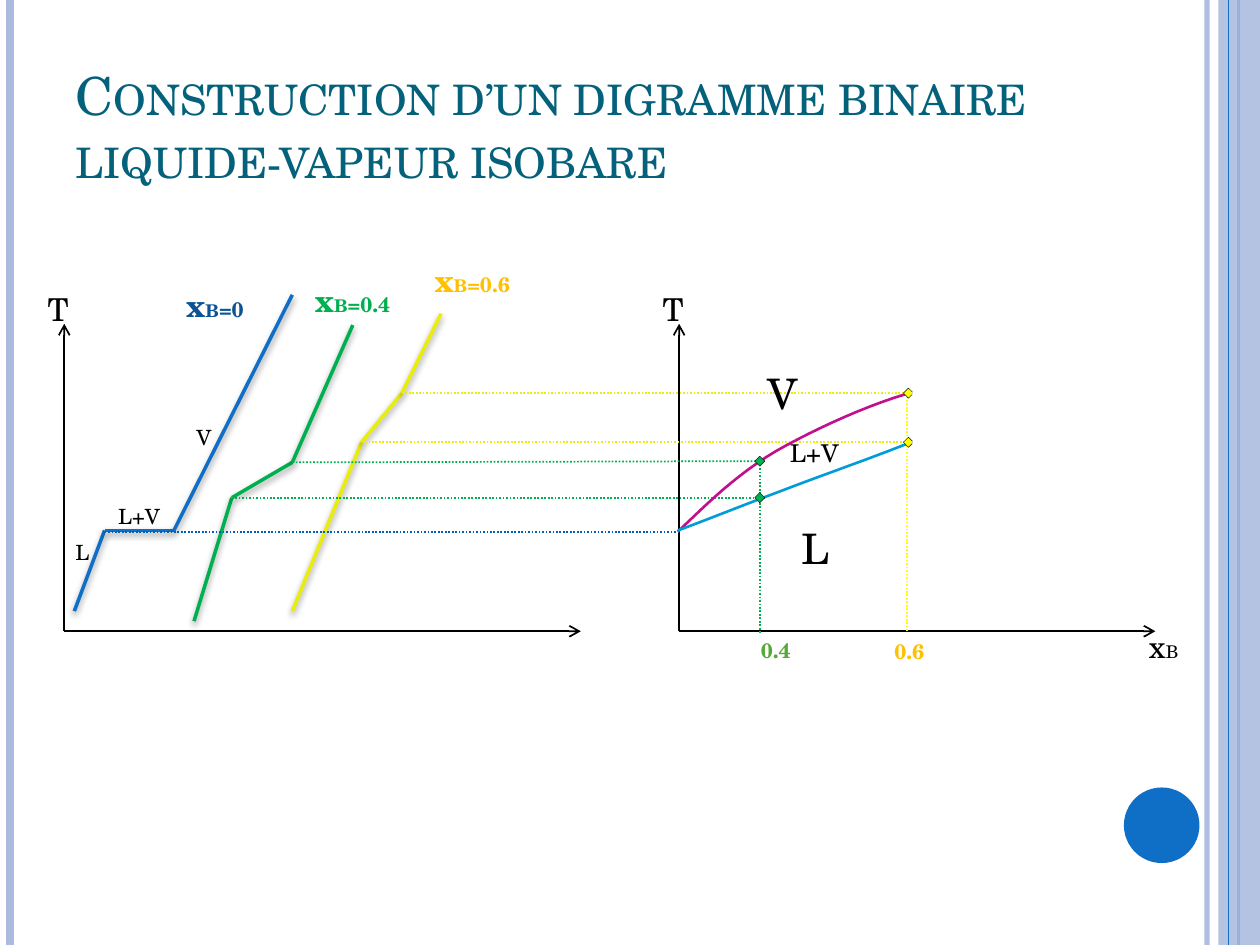
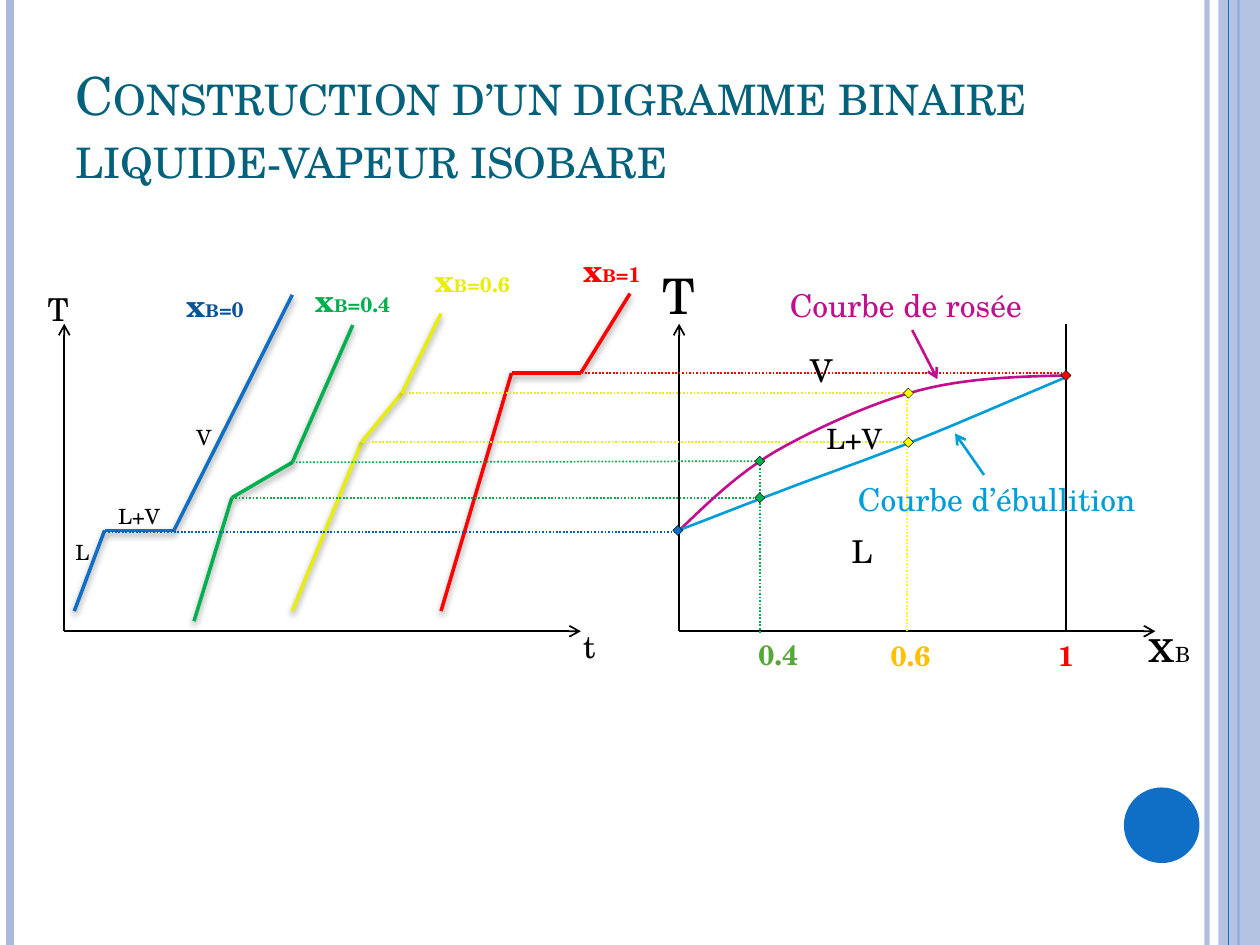
from dataclasses import dataclass

from lxml import etree
from pptx import Presentation
from pptx.dml.color import RGBColor
from pptx.enum.dml import MSO_LINE
from pptx.enum.shapes import MSO_CONNECTOR, MSO_SHAPE
from pptx.enum.text import MSO_ANCHOR, MSO_AUTO_SIZE, PP_ALIGN
from pptx.oxml.ns import qn
from pptx.util import Inches, Pt

STRAIGHT = MSO_CONNECTOR.STRAIGHT
RECT, OVAL, DIAMOND = MSO_SHAPE.RECTANGLE, MSO_SHAPE.OVAL, MSO_SHAPE.DIAMOND
DOTS = MSO_LINE.ROUND_DOT
FONT = "TeX Gyre Schola"
TITLE = "Construction d’un digramme binaire liquide-vapeur isobare"
HEX = {
    "black": "000000", "white": "FFFFFF", "title": "04617B", "band": "ABBBDF",
    "blue": "0F6FC6", "deep": "0060B6", "navy": "0B5394", "green": "00B050",
    "leaf": "55A839", "lemon": "E8ED0D", "yellow": "FFFF00", "gold": "FFC000",
    "red": "FF0000", "dew": "C10F8E", "boil": "009DD9",
}
Point = tuple[float, float]

BASE = 5.01    # height of both horizontal axes
TOP = 2.57     # tip of both vertical axes
LEFT, RIGHT = 0.51, 5.39    # origins of the two graphs
MARK = 0.08    # size of a diamond


@dataclass
class Line:
    start: Point
    end: Point
    color: str = "black"
    width: float = 1
    dots: bool = False
    arrow: bool = False
    shadow: bool = False
    alpha: int = 100


@dataclass
class Label:
    text: str
    left: float
    top: float
    width: float
    height: float
    size: float
    color: str = "black"
    bold: bool = False
    wrap: bool = False


@dataclass
class Ratio:
    """Label x with a small B and an optional value after it."""
    value: str
    left: float
    top: float
    width: float
    color: str
    height: float = 0.4
    sizes: tuple[float, float] = (18, 10)
    bold: bool = True


@dataclass
class Heat:
    """Heating curve given by its four corner points."""
    color: str
    points: list[Point]


BANDS = [
    Line((9.58, 0), (9.58, 7.5), "band", 3, alpha=93),
    Line((0.08, 0), (0.08, 7.5), "band", 4.5),
    Line((9.83, 0), (9.83, 7.5), "blue", 1.5),
]
EDGE = Line((9.75, 0), (9.75, 7.5), "blue", 0.75)
AXES = [
    Line((x, BASE), tip, arrow=True)
    for x, end in ((LEFT, 4.61), (RIGHT, 9.17))
    for tip in ((x, TOP), (end, BASE))
]
HEATS = [
    Heat("blue", [(0.59, 4.85), (0.83, 4.21), (1.38, 4.21), (2.32, 2.34)]),
    Heat("green", [(1.54, 4.93), (1.84, 3.95), (2.32, 3.67), (2.8, 2.58)]),
    Heat("lemon", [(2.32, 4.85), (2.87, 3.51), (3.19, 3.12), (3.5, 2.49)]),
]
PURE = Heat("red", [(3.5, 4.85), (4.06, 2.96), (4.61, 2.96), (5, 2.33)])
GUIDES = [
    Line((0.83, 4.22), (RIGHT, 4.22), "deep", dots=True),
    Line((1.84, 3.95), (6.07, 3.95), "green", dots=True),
    Line((2.32, 3.67), (6.03, 3.66), "green", dots=True),
    Line((6.03, 3.66), (6.03, 5.03), "green", dots=True),
    Line((2.87, 3.51), (7.23, 3.51), "lemon", dots=True),
    Line((3.19, 3.12), (7.2, 3.12), "lemon", dots=True),
    Line((7.2, 3.12), (7.2, BASE), "yellow", dots=True),
]
PHASES = [
    Label("T", 0.28, 2.25, 0.31, 0.4, 18, wrap=True),
    Label("L", 0.5, 4.23, 0.32, 0.3, 12),
    Label("L+V", 0.84, 3.95, 0.54, 0.3, 12),
    Label("V", 1.46, 3.32, 0.32, 0.3, 12),
]
RATIOS = [
    Ratio("=0", 1.38, 2.22, 0.66, "navy"),
    Ratio("=0.4", 2.4, 2.18, 0.81, "green"),
]
DEW = [
    (8.46, 2.98), (8.07, 2.99), (7.67, 3), (7.29, 3.1), (6.91, 3.2),
    (6.48, 3.4), (6.16, 3.58), (5.84, 3.77), (5.61, 4), (5.38, 4.22),
]
BOIL = [
    (5.38, 4.21), (5.65, 4.11), (5.92, 4), (6.19, 3.9), (6.5, 3.78),
    (6.85, 3.66), (7.23, 3.51), (7.61, 3.36), (8.04, 3.17), (8.47, 2.99),
]
MARKS = [
    ("yellow", 7.17, 3.08), ("yellow", 7.17, 3.47),
    ("green", 5.99, 3.91), ("green", 5.99, 3.62),
]


def tint(name: str) -> RGBColor:
    return RGBColor.from_string(HEX[name])


def fade(shape, alpha: int) -> None:
    """Make the colour of a fill or line partly transparent."""
    color = shape.element.spPr.find(".//" + qn("a:srgbClr"))
    etree.SubElement(color, qn("a:alpha"), val=str(alpha * 1000))


def draw(slide, line: Line) -> None:
    ends = [Inches(v) for v in (*line.start, *line.end)]
    conn = slide.shapes.add_connector(STRAIGHT, *ends)
    conn.line.color.rgb = tint(line.color)
    conn.line.width = Pt(line.width)
    if line.dots:
        conn.line.dash_style = DOTS
    if line.alpha < 100:
        fade(conn, line.alpha)
    props = conn.element.spPr
    if line.arrow:
        etree.SubElement(props.find(qn("a:ln")), qn("a:tailEnd"), type="arrow")
    effects = etree.SubElement(props, qn("a:effectLst"))
    if line.shadow:
        outer = etree.SubElement(
            effects, qn("a:outerShdw"), blurRad=str(Pt(4)), dist=str(Pt(2)),
            dir="5400000", algn="ctr", rotWithShape="0")
        black = etree.SubElement(outer, qn("a:srgbClr"), val=HEX["black"])
        etree.SubElement(black, qn("a:alpha"), val="40000")


def block(slide, kind, fill: str, left: float, top: float,
          width: float, height: float, edge: float = 0):
    box = [Inches(v) for v in (left, top, width, height)]
    shape = slide.shapes.add_shape(kind, *box)
    shape.shadow.inherit = False
    shape.fill.solid()
    shape.fill.fore_color.rgb = tint(fill)
    if edge:
        shape.line.color.rgb = tint("black")
        shape.line.width = Pt(edge)
    else:
        shape.line.fill.background()
    return shape


def add_run(para, text: str, size: float, color: str, bold: bool = False):
    run = para.add_run()
    run.text = text
    form = {"name": FONT, "size": Pt(size), "bold": bold}
    for key, value in form.items():
        setattr(run.font, key, value)
    run.font.color.rgb = tint(color)
    return run


def add_box(slide, left: float, top: float, width: float, height: float,
            wrap: bool = False):
    """Add an empty text box and return its first paragraph."""
    box = [Inches(v) for v in (left, top, width, height)]
    frame = slide.shapes.add_textbox(*box).text_frame
    frame.word_wrap = wrap
    frame.auto_size = MSO_AUTO_SIZE.SHAPE_TO_FIT_TEXT
    return frame.paragraphs[0]


def write(slide, label: Label) -> None:
    para = add_box(slide, label.left, label.top, label.width, label.height,
                   label.wrap)
    add_run(para, label.text, label.size, label.color, label.bold)


def rate(slide, item: Ratio) -> None:
    para = add_box(slide, item.left, item.top, item.width, item.height)
    big, small = item.sizes
    for text, size in (("x", big), ("B", small), (item.value, 12)):
        if text:
            add_run(para, text, size, item.color, item.bold)


def heat(slide, curve: Heat) -> None:
    for start, end in zip(curve.points, curve.points[1:]):
        draw(slide, Line(start, end, curve.color, 2, shadow=True))


def bend(knots: list[Point], steps: int = 12) -> list[Point]:
    """Sample a chain of cubic Bézier arcs."""
    points = [knots[0]]
    for i in range(0, len(knots) - 1, 3):
        arc = knots[i:i + 4]
        for n in range(1, steps + 1):
            t = n / steps
            parts = ((1 - t) ** 3, 3 * t * (1 - t) ** 2,
                     3 * t * t * (1 - t), t ** 3)
            points.append((sum(w * p[0] for w, p in zip(parts, arc)),
                           sum(w * p[1] for w, p in zip(parts, arc))))
    return points


def trace(slide, knots: list[Point], color: str) -> None:
    first, *rest = [(Inches(x), Inches(y)) for x, y in bend(knots)]
    path = slide.shapes.build_freeform(*first)
    path.add_line_segments(rest, close=False)
    shape = path.convert_to_shape()
    shape.shadow.inherit = False
    shape.fill.background()
    shape.line.color.rgb = tint(color)
    shape.line.width = Pt(1.5)


def frame(deck):
    """Add a slide with its bands, disc and title."""
    slide = deck.slides.add_slide(deck.slide_layouts[5])
    for band in BANDS:
        draw(slide, band)
    fade(block(slide, RECT, "band", 9.67, 0, 0.33, 7.5), 87)
    draw(slide, EDGE)
    block(slide, OVAL, "blue", 8.92, 6.25, 0.6, 0.6)

    title = slide.shapes.title
    place = {"left": 0.5, "top": 0.3, "width": 8.17, "height": 1.25}
    for key, value in place.items():
        setattr(title, key, Inches(value))
    text = title.text_frame
    form = {"word_wrap": True, "auto_size": MSO_AUTO_SIZE.NONE,
            "vertical_anchor": MSO_ANCHOR.BOTTOM}
    for key, value in form.items():
        setattr(text, key, value)
    para = text.paragraphs[0]
    para.alignment = PP_ALIGN.LEFT
    run = add_run(para, TITLE, 30, "title")
    run.font.element.set("cap", "small") if hasattr(run.font, "element") \
        else para.runs[0]._r.get_or_add_rPr().set("cap", "small")
    return slide


def build(deck, heats: list[Heat], lines: list[Line], marks: list,
          labels: list[Label], ratios: list[Ratio], cover: bool = False):
    slide = frame(deck)
    for line in AXES:
        draw(slide, line)
    for curve in heats:
        heat(slide, curve)
    for line in GUIDES + lines:
        draw(slide, line)
    trace(slide, DEW, "dew")
    trace(slide, BOIL, "boil")
    for color, left, top in marks:
        block(slide, DIAMOND, color, left, top, MARK, MARK, 0.25)
    if cover:
        block(slide, RECT, "white", 7.24, 2.66, 1.42, 1.59)
    for label in PHASES + labels:
        write(slide, label)
    for item in RATIOS + ratios:
        rate(slide, item)


def main() -> None:
    deck = Presentation()
    deck.slide_width, deck.slide_height = Inches(10), Inches(7.5)
    build(deck, HEATS, [], MARKS, [
        Label("T", 5.16, 2.25, 0.31, 0.4, 18, wrap=True),
        Label("0.4", 5.94, 5.01, 0.44, 0.3, 12, "leaf", True),
        Label("0.6", 7, 5.02, 0.44, 0.3, 12, "gold", True),
        Label("L", 6.26, 4.1, 0.43, 0.5, 24),
        Label("V", 5.99, 2.87, 0.45, 0.5, 24),
        Label("L+V", 6.17, 3.43, 0.59, 0.34, 14),
    ], [
        Ratio("=0.6", 3.35, 2.02, 0.81, "gold"),
        Ratio("", 9.02, 4.93, 0.44, "black", bold=False),
    ], cover=True)
    build(deck, HEATS + [PURE], [
        Line((8.46, TOP), (8.46, BASE)),
        Line((4.45, 2.96), (8.46, 2.96), "red", dots=True),
        Line((7.24, 2.62), (7.44, 3.01), "dew", 1.5, arrow=True),
        Line((7.81, 3.77), (7.58, 3.44), "boil", 1.5, arrow=True),
    ], MARKS + [("blue", 5.34, 4.17), ("red", 8.42, 2.94)], [
        Label("T", 5.16, 2.06, 0.31, 0.57, 28, wrap=True),
        Label("t", 4.53, 4.93, 0.24, 0.4, 18, wrap=True),
        Label("Courbe de rosée", 6.17, 2.22, 2.06, 0.4, 18, "dew"),
        Label("Courbe d’ébullition", 6.71, 3.76, 2.42, 0.4, 18, "boil"),
        Label("L", 6.66, 4.17, 0.37, 0.4, 18),
        Label("L+V", 6.46, 3.3, 0.65, 0.37, 16),
        Label("V", 6.33, 2.74, 0.38, 0.4, 18),
        Label("0.4", 5.92, 5.01, 0.52, 0.37, 16, "leaf", True),
        Label("0.6", 6.97, 5.02, 0.52, 0.37, 16, "gold", True),
        Label("1", 8.3, 5.02, 0.33, 0.37, 16, "red", True),
    ], [
        Ratio("=0.6", 3.35, 2.02, 0.81, "lemon"),
        Ratio("=1", 4.53, 1.94, 0.66, "red"),
        Ratio("", 9.02, 4.82, 0.55, "black", 0.57, (28, 12), False),
    ])
    deck.save("out.pptx")


if __name__ == "__main__":
    main()
